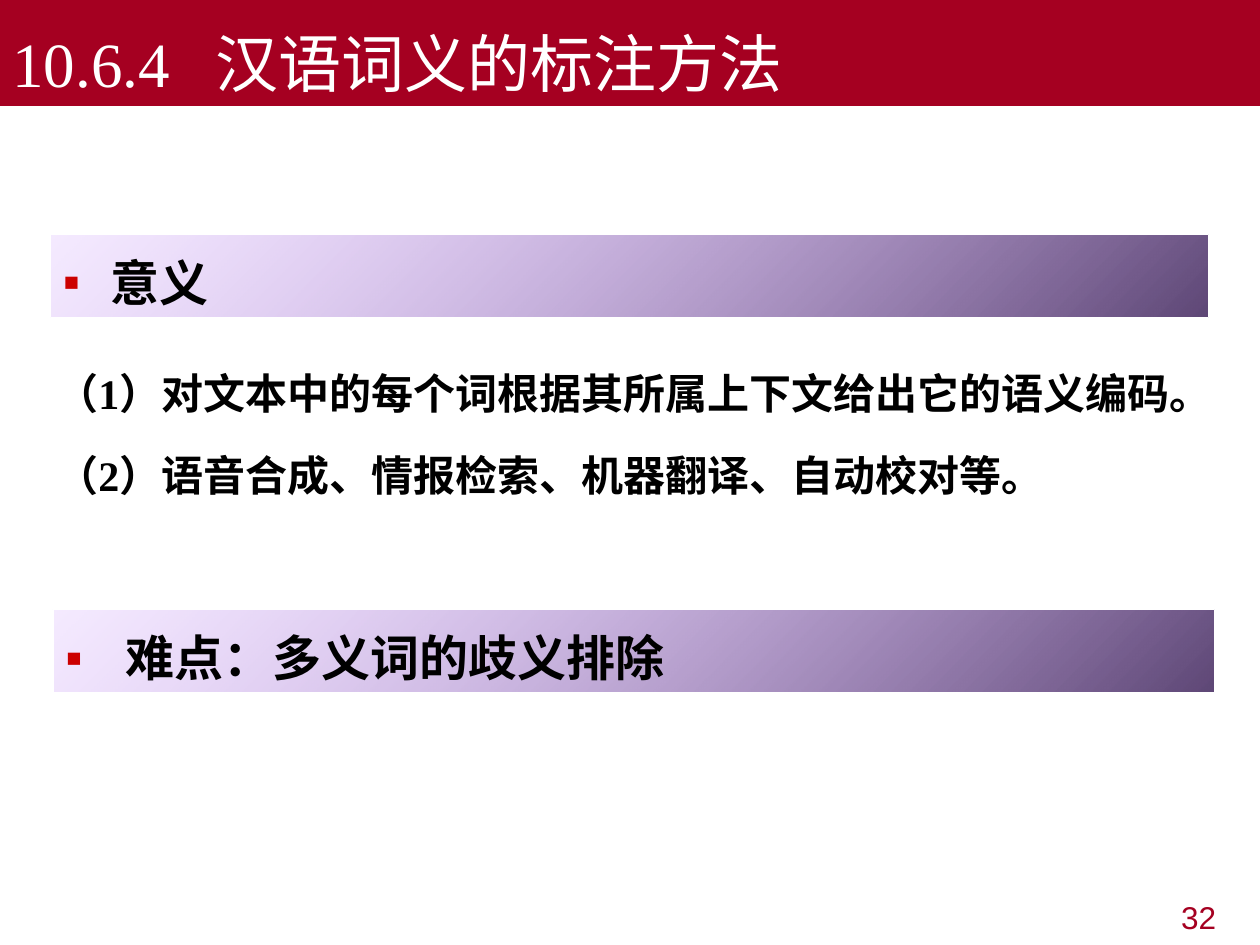
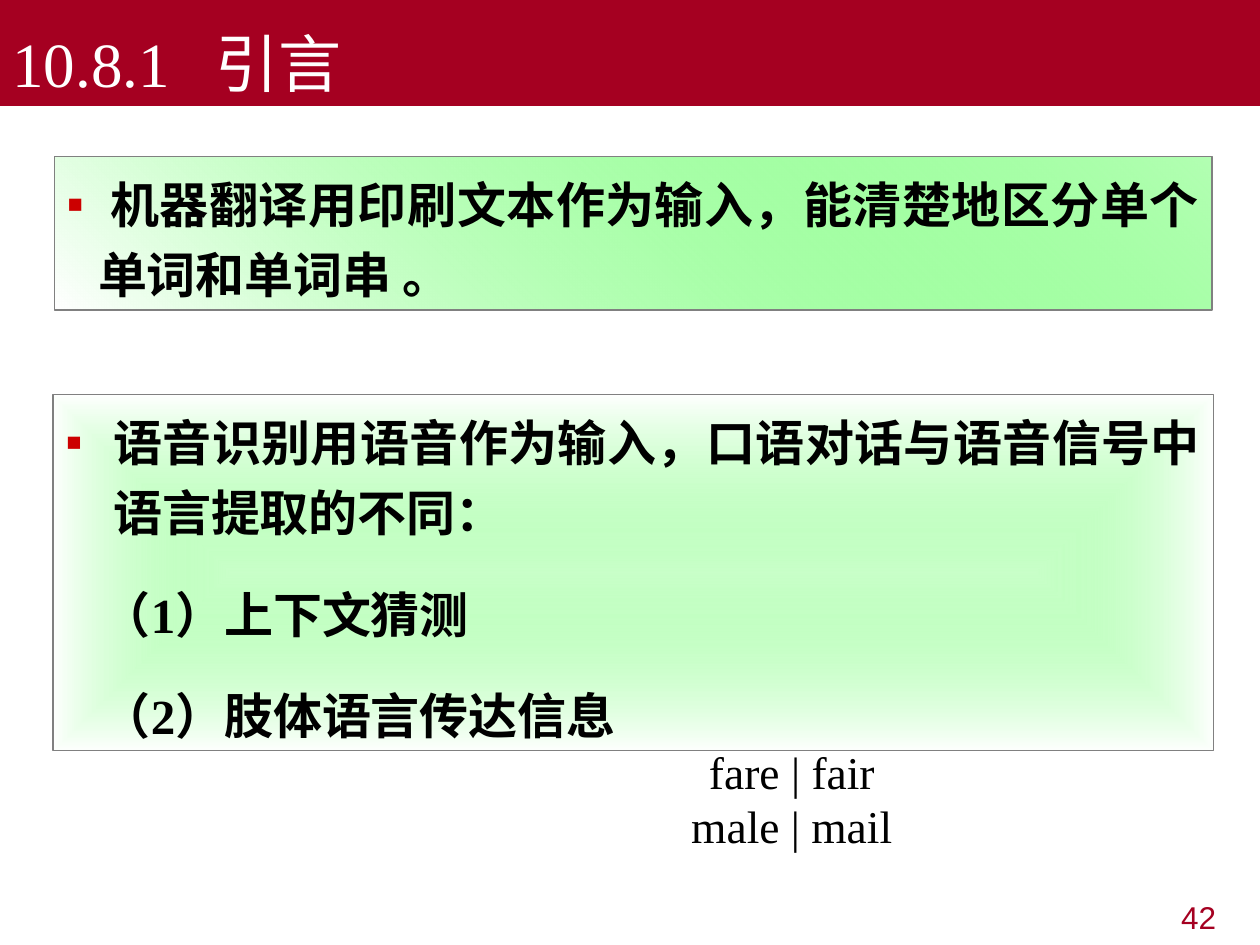
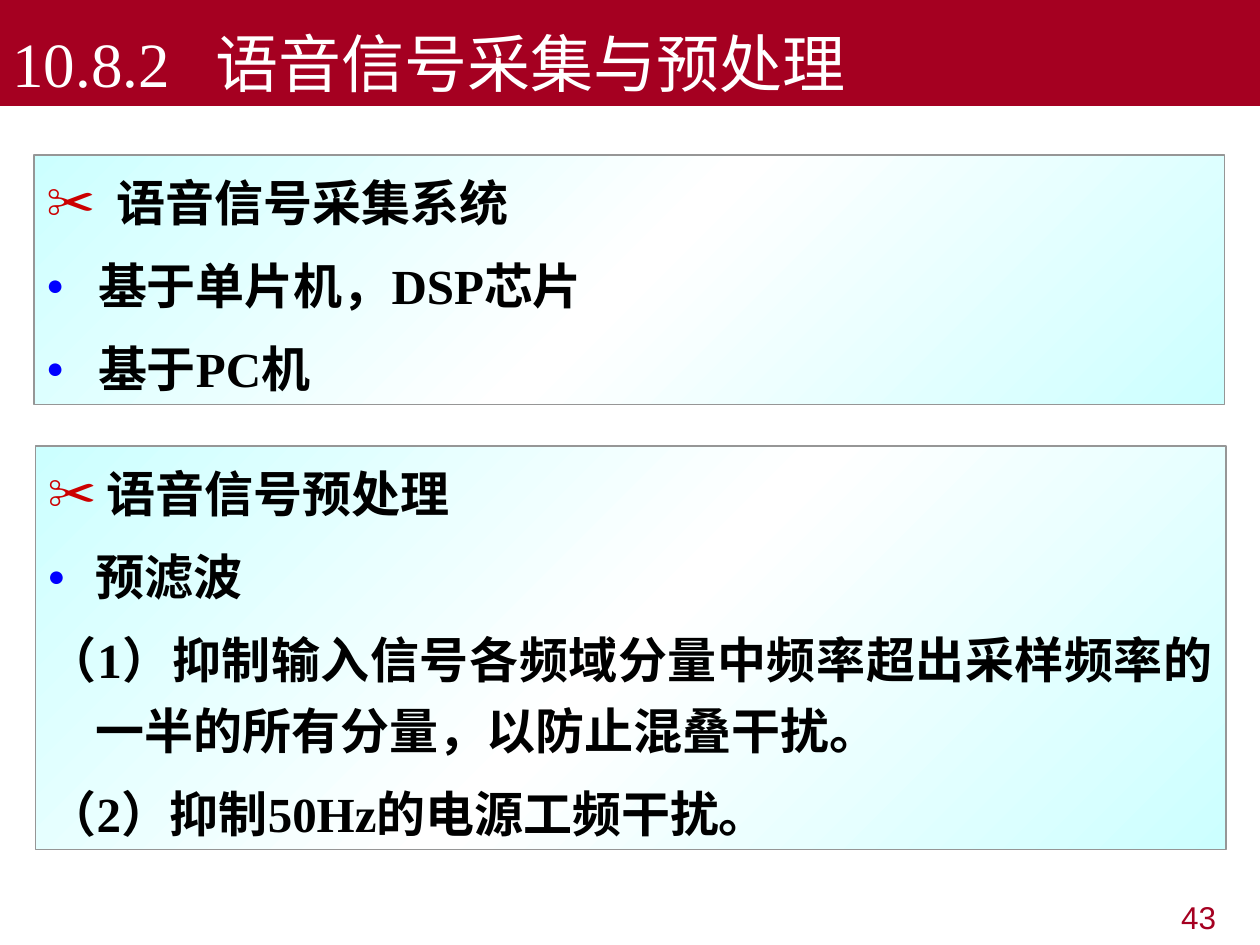
import collections

import lxml.etree
import pptx
import pptx.dml.color
import pptx.enum.shapes
import pptx.enum.text
import pptx.oxml
import pptx.oxml.ns
import pptx.util

Inches = pptx.util.Inches
Pt = pptx.util.Pt
qn = pptx.oxml.ns.qn
ALIGN = pptx.enum.text.PP_ALIGN
ANCHOR = pptx.enum.text.MSO_ANCHOR

CRIMSON, RED, BLUE = "A50021", "CC0000", "0000FF"
BLACK, WHITE = "000000", "FFFFFF"
SERIF, SANS = "Times New Roman", "Arial"

Bullet = collections.namedtuple("Bullet", "char color size")
SQUARE = Bullet("▪", RED, 100)
SCISSORS = Bullet("✂", RED, 100)
DOT = Bullet("●", BLUE, 60)

# Stops are (position %, colour, opacity %); an angle of None means a rectangular gradient.
Gradient = collections.namedtuple("Gradient", "stops angle")
VIOLET = Gradient([(0, "CC99FF", 20), (100, "5E4776", 100)], 45)
GREEN_CORNER = Gradient([(0, WHITE, 100), (100, "00FF00", 30)], 315)
GREEN_CENTRE = Gradient([(0, "66FF66", 35), (100, WHITE, 100)], None)
CYAN = Gradient([(0, "CCFFFF", 100), (50, WHITE, 100), (100, "CCFFFF", 100)], 45)

Para = collections.namedtuple("Para", "text bullet left hang", defaults=(None, 0.38, 0.38))


def rgb(color):
    return pptx.dml.color.RGBColor.from_string(color)


def add_element(parent, tag, **attributes):
    return lxml.etree.SubElement(parent, qn(tag), attributes)


def fill_gradient(sp, gradient):
    sp.fill.background()
    grad = lxml.etree.Element(qn("a:gradFill"), rotWithShape="1")
    stops = add_element(grad, "a:gsLst")
    for position, color, opacity in gradient.stops:
        stop = add_element(stops, "a:gs", pos=str(position * 1000))
        clr = add_element(stop, "a:srgbClr", val=color)
        if opacity < 100:
            add_element(clr, "a:alpha", val=str(opacity * 1000))
    if gradient.angle is None:
        shade = add_element(grad, "a:path", path="rect")
        add_element(shade, "a:fillToRect", l="50000", t="50000", r="50000", b="50000")
    else:
        add_element(grad, "a:lin", ang=str(gradient.angle * 60000), scaled="0")
    sp_pr = sp._element.spPr
    sp_pr.replace(sp_pr.find(qn("a:noFill")), grad)


def set_indent(p, left, hang):
    p_pr = p._p.get_or_add_pPr()
    p_pr.set("marL", str(Inches(left)))
    p_pr.set("indent", str(Inches(-hang)))


def add_bullet(p, bullet):
    p_pr = p._p.get_or_add_pPr()
    color = add_element(p_pr, "a:buClr")
    add_element(color, "a:srgbClr", val=bullet.color)
    add_element(p_pr, "a:buSzPct", val=str(bullet.size * 1000))
    add_element(p_pr, "a:buFont", typeface=SANS)
    add_element(p_pr, "a:buChar", char=bullet.char)


def add_tab(p, position):
    tabs = add_element(p._p.get_or_add_pPr(), "a:tabLst")
    add_element(tabs, "a:tab", pos=str(Inches(position)), algn="l")


class Deck:
    """Holds the presentation, its style and the current slide."""

    def __init__(self):
        self.prs = pptx.Presentation()
        self.prs.slide_width, self.prs.slide_height = Inches(10), Inches(7.5)
        self.s = None

    def slide(self, section, title, number):
        self.s = self.prs.slides.add_slide(self.prs.slide_layouts[6])
        band = self.rect(0, 0, 10, 0.84)
        band.fill.solid()
        band.fill.fore_color.rgb = rgb(CRIMSON)
        tf = self.frame(band, ANCHOR.BOTTOM)
        p = self.paragraph(tf, ALIGN.LEFT)
        add_tab(p, 1.61)
        self.run(p, f"{section}\t{title}", 36, WHITE)

        tf = self.frame(self.s.shapes.add_textbox(
            Inches(7.58), Inches(7.08), Inches(2.17), Inches(0.39)))
        self.run(self.paragraph(tf, ALIGN.RIGHT), str(number), 18, CRIMSON, SANS)

    def rect(self, left, top, width, height):
        sp = self.s.shapes.add_shape(
            pptx.enum.shapes.MSO_SHAPE.RECTANGLE,
            Inches(left), Inches(top), Inches(width), Inches(height))
        sp.shadow.inherit = False
        sp.line.fill.background()
        return sp

    def frame(self, sp, anchor=ANCHOR.TOP):
        tf = sp.text_frame
        tf.word_wrap = True
        tf.vertical_anchor = anchor
        return tf

    def paragraph(self, tf, align, gap=0):
        """Return the next paragraph, using the empty first one if it is free."""
        p = tf.paragraphs[0]
        if p.runs:
            p = tf.add_paragraph()
            p.space_before = Pt(gap)
        p.alignment = align
        return p

    def run(self, p, text, size, color=BLACK, font=SERIF, bold=False):
        r = p.add_run()
        r.text = text
        r.font.size, r.font.name, r.font.bold = Pt(size), font, bold
        r.font.color.rgb = rgb(color)

    def body(self, tf, paras, gap, size=28, spacing=1.2):
        for para in paras:
            p = self.paragraph(tf, ALIGN.JUSTIFY, gap)
            p.line_spacing = spacing
            set_indent(p, para.left, para.hang)
            if para.bullet:
                add_bullet(p, para.bullet)
            self.run(p, para.text, size, bold=True)
        return p

    def panel(self, place, gradient, border, paras, gap=0):
        sp = self.rect(*place)
        fill_gradient(sp, gradient)
        sp.line.color.rgb = rgb(border)
        sp.line.width = Pt(0.75)
        return self.body(self.frame(sp), paras, gap)

    def text(self, place, paras, gap, size):
        sp = self.s.shapes.add_textbox(*map(Inches, place))
        self.body(self.frame(sp), paras, gap, size, 1.0)

    def word_pairs(self, place, pairs):
        sp = self.rect(*place)
        sp.fill.background()
        tf = self.frame(sp, ANCHOR.MIDDLE)
        for pair in pairs:
            self.run(self.paragraph(tf, ALIGN.CENTER), " | ".join(pair), 26)


def main():
    deck = Deck()

    deck.slide("10.6.4", "汉语词义的标注方法", 32)
    deck.panel((0.4, 1.86, 9.19, 0.66), VIOLET, WHITE, [Para("意义", SQUARE)])
    deck.text((0.35, 2.87, 9.54, 1.2), [
        Para("（1）对文本中的每个词根据其所属上下文给出它的语义编码。"),
        Para("（2）语音合成、情报检索、机器翻译、自动校对等。"),
    ], 18, 24)
    deck.panel((0.42, 4.84, 9.22, 0.66), VIOLET, WHITE,
               [Para("难点：多义词的歧义排除", SQUARE, 0.48, 0.48)])

    deck.slide("10.8.1", "引言", 42)
    deck.panel((0.42, 3.13, 9.21, 2.83), GREEN_CENTRE, "808080", [
        Para("语音识别用语音作为输入，口语对话与语音信号中语言提取的不同：", SQUARE),
        Para("（1）上下文猜测", None, 0.29, 0),
        Para("（2）肢体语言传达信息", None, 0.29, 0),
    ], 17.5)
    p = deck.panel((0.43, 1.24, 9.19, 1.22), GREEN_CORNER, "808080", [
        Para(" 机器翻译用印刷文本作为输入，能清楚地区分单个单词和单词串 ", SQUARE, 0.25, 0.25),
    ])
    deck.run(p, "。", 28, font=SANS, bold=True)
    deck.word_pairs((5.24, 5.92, 2.09, 0.83), [("fare", "fair"), ("male", "mail")])

    deck.slide("10.8.2", "语音信号采集与预处理", 43)
    deck.panel((0.27, 1.23, 9.45, 1.98), CYAN, "969696", [
        Para("语音信号采集系统", SCISSORS, 0.56, 0.56),
        Para("基于单片机，DSP芯片", DOT, 0.41, 0.41),
        Para("基于PC机", DOT, 0.41, 0.41),
    ], 7)
    deck.panel((0.28, 3.54, 9.45, 3.2), CYAN, "969696", [
        Para("语音信号预处理", SCISSORS, 0.47, 0.47),
        Para("预滤波", DOT),
        Para("（1）抑制输入信号各频域分量中频率超出采样频率的一半的所有分量，以防止混叠干扰。"),
        Para("（2）抑制50Hz的电源工频干扰。"),
    ], 7)

    deck.prs.save("out.pptx")


if __name__ == "__main__":
    main()
